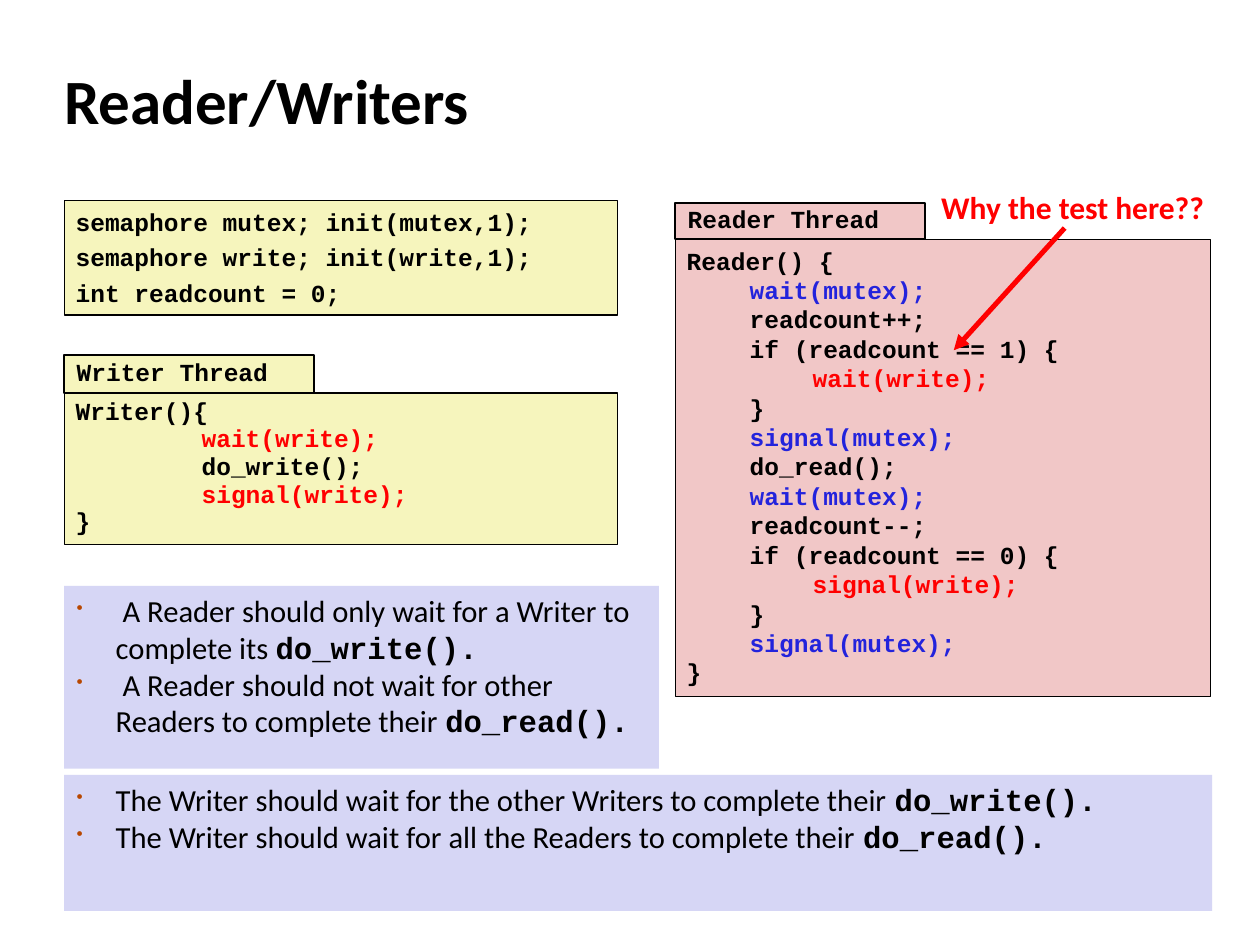
from lxml import etree
from pptx import Presentation
from pptx.dml.color import RGBColor
from pptx.enum.shapes import MSO_CONNECTOR, MSO_SHAPE
from pptx.enum.text import MSO_ANCHOR, PP_ALIGN
from pptx.oxml.ns import qn
from pptx.util import Inches, Pt

RECT, LINE = MSO_SHAPE.RECTANGLE, MSO_CONNECTOR.STRAIGHT
TOP, MID = MSO_ANCHOR.TOP, MSO_ANCHOR.MIDDLE
LEFT = PP_ALIGN.LEFT
SANS, MONO = "Calibri", "Courier New"
INK = {"black": "000000", "red": "FF0000", "blue": "2323DC", "rust": "B84700",
       "cream": "F6F5BD", "pink": "F1C7C7", "lilac": "D6D6F5"}


def tint(name):
    return RGBColor.from_string(INK[name])


def add(par, text, font=MONO, size=14, bold=True, ink="black"):
    run = par.add_run()
    run.text = text
    run.font.name, run.font.size, run.font.bold = font, Pt(size), bold
    run.font.color.rgb = tint(ink)


def hang(par, left, first):
    props = par._p.get_or_add_pPr()
    props.set("marL", str(Inches(left)))
    props.set("indent", str(Inches(first)))
    return props


class Deck:
    """Holds the style and the current slide, and adds each kind of element."""

    def __init__(self):
        self.prs = Presentation()
        self.prs.slide_width, self.prs.slide_height = Inches(10), Inches(7.5)
        self.slide = self.prs.slides.add_slide(self.prs.slide_layouts[5])

    def frame(self, shape, anchor=TOP, inset=(0.1, 0.05)):
        body = shape.text_frame
        body.word_wrap, body.vertical_anchor = True, anchor
        body.margin_left = body.margin_right = Inches(inset[0])
        body.margin_top = body.margin_bottom = Inches(inset[1])
        body.paragraphs[0].alignment = LEFT
        return body

    def title(self, text, *box):
        shape = self.slide.shapes.title
        shape.left, shape.top, shape.width, shape.height = map(Inches, box)
        par = self.frame(shape, MID).paragraphs[0]
        par.line_spacing = 0.9
        add(par, text, font=SANS, size=36)

    def panel(self, box, fill, edge=None, **style):
        shape = self.slide.shapes.add_shape(RECT, *map(Inches, box))
        shape.shadow.inherit = False
        shape.fill.solid()
        shape.fill.fore_color.rgb = tint(fill)
        if edge:
            shape.line.color.rgb = tint("black")
            shape.line.width = Pt(edge)
        else:
            shape.line.fill.background()
        return self.frame(shape, **style)

    def rows(self, body, items):
        for i, item in enumerate(items):
            par = body.add_paragraph() if i else body.paragraphs[0]
            par.alignment = LEFT
            yield i, par, item

    def code(self, box, fill, lines, steps, pitch=1.0, gap=0, pad=0.05):
        body = self.panel(box, fill, 0.75, inset=(0.09, pad))
        for i, par, (level, text, ink) in self.rows(body, lines):
            hang(par, steps[level], 0)
            par.line_spacing = pitch
            if i and gap:
                par.space_before = Pt(gap)
            add(par, text, ink=ink)

    def tab(self, text, fill, *box):
        par = self.panel(box, fill, 1, anchor=MID).paragraphs[0]
        par.line_spacing = 0.8
        add(par, text)

    def notes(self, box, items):
        body = self.panel(box, "lilac")
        for _, par, (text, call) in self.rows(body, items):
            props = hang(par, 0.31, -0.31)
            shade = etree.SubElement(props, qn("a:buClr"))
            etree.SubElement(shade, qn("a:srgbClr"), val=INK["rust"])
            etree.SubElement(props, qn("a:buSzPct"), val="60000")
            etree.SubElement(props, qn("a:buChar"), char="•")
            add(par, text, font=SANS, size=17.5, bold=False)
            add(par, call, size=17.5)

    def label(self, text, *box):
        shape = self.slide.shapes.add_textbox(*map(Inches, box))
        par = self.frame(shape, inset=(0.09, 0.04)).paragraphs[0]
        par.line_spacing = 0.95
        add(par, text, font=SANS, size=18, ink="red")

    def arrow(self, *ends):
        link = self.slide.shapes.add_connector(LINE, *map(Inches, ends))
        link.line.color.rgb, link.line.width = tint("red"), Pt(2.89)
        etree.SubElement(link.line._get_or_add_ln(), qn("a:tailEnd"), type="triangle")
        etree.SubElement(link._element.spPr, qn("a:effectLst"))


SETUP = [(0, "semaphore mutex; init(mutex,1);", "black"),
         (0, "semaphore write; init(write,1);", "black"),
         (0, "int readcount = 0;", "black")]
WRITER = [(0, "Writer(){", "black"),
          (1, "wait(write);", "red"),
          (1, "do_write();", "black"),
          (1, "signal(write);", "red"),
          (0, "}", "black")]
READER = [(0, "Reader() {", "black"),
          (1, "wait(mutex);", "blue"),
          (1, "readcount++;", "black"),
          (1, "if (readcount == 1) {", "black"),
          (2, "wait(write);", "red"),
          (1, "}", "black"),
          (1, "signal(mutex);", "blue"),
          (1, "do_read();", "black"),
          (1, "wait(mutex);", "blue"),
          (1, "readcount--;", "black"),
          (1, "if (readcount == 0) {", "black"),
          (2, "signal(write);", "red"),
          (1, "}", "black"),
          (1, "signal(mutex);", "blue"),
          (0, "}", "black")]
READS = [(" A Reader should only wait for a Writer to complete its ", "do_write()."),
         (" A Reader should not wait for other Readers to complete their ", "do_read().")]
WRITES = [("The Writer should wait for the other Writers to complete their ", "do_write()."),
          ("The Writer should wait for all the Readers to complete their ", "do_read().")]


def main():
    deck = Deck()
    deck.title("Reader/Writers", 0.41, 0.41, 8.3, 0.83)
    deck.notes((0.51, 4.65, 4.72, 1.45), READS)
    deck.code((5.36, 1.9, 4.25, 3.63), "pink", READER, (0, 0.5, 1))
    deck.label("Why the test here??", 7.38, 1.47, 2.36, 0.38)
    deck.arrow(8.45, 1.81, 7.57, 2.78)
    deck.notes((0.51, 6.15, 9.11, 1.08), WRITES)
    deck.code((0.51, 1.59, 4.39, 0.91), "cream", SETUP, (0,), gap=3.6)
    deck.code((0.51, 3.12, 4.39, 1.2), "cream", WRITER, (0, 1), pitch=0.94, pad=0.04)
    deck.tab("Writer Thread", "cream", 0.51, 2.82, 1.98, 0.3)
    deck.tab("Reader Thread", "pink", 5.36, 1.61, 1.98, 0.29)
    deck.prs.save("out.pptx")


if __name__ == "__main__":
    main()
